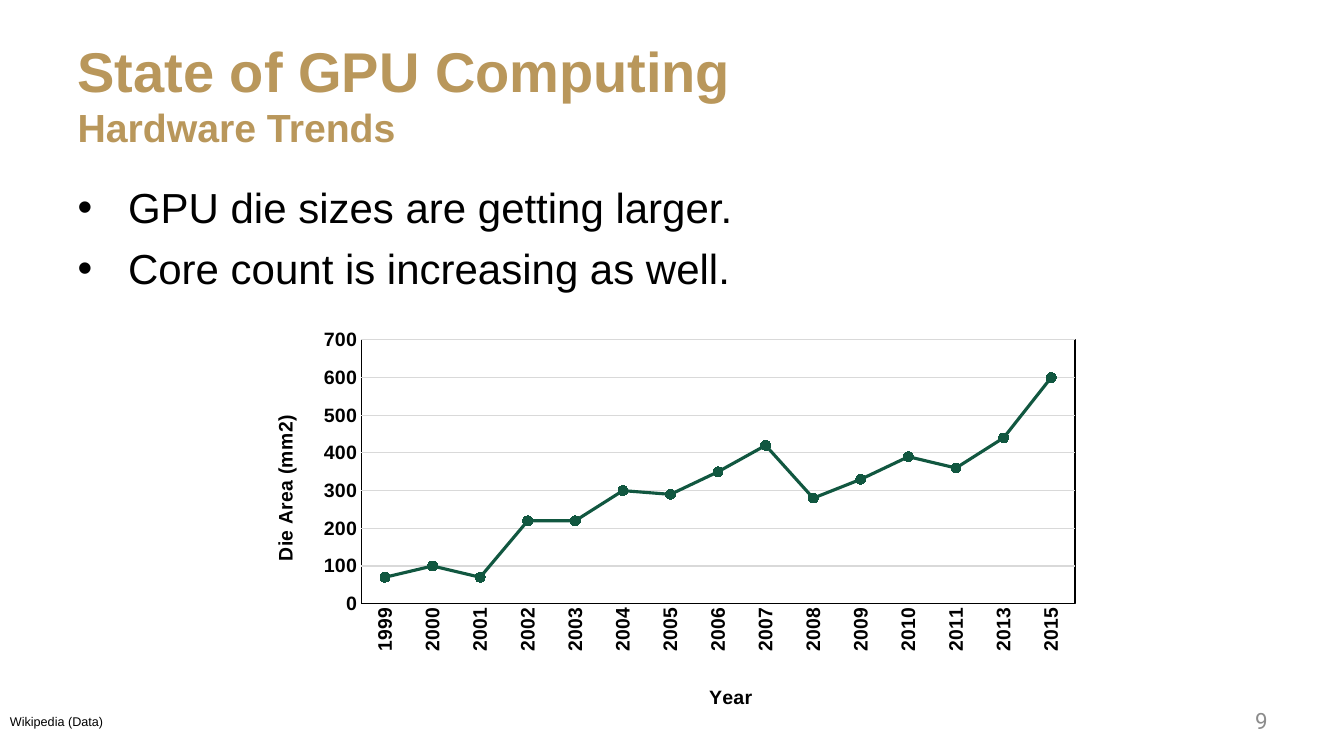
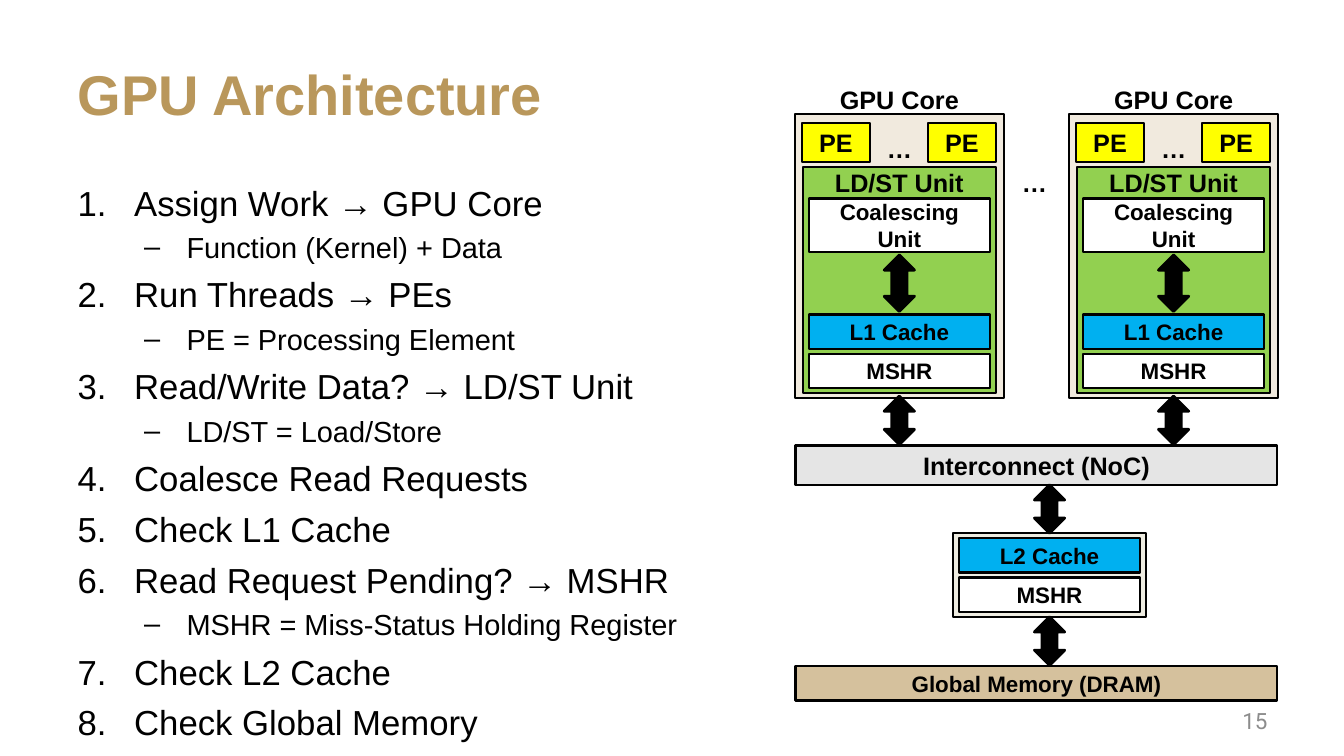
from lxml import etree
from pptx import Presentation
from pptx import util as u
from pptx.chart.data import CategoryChartData
from pptx.dml.color import RGBColor
from pptx.enum import chart as charts, shapes, text
from pptx.oxml.ns import qn

COLORS = {
    "gold": "B9975B", "black": "000000", "white": "FFFFFF", "gray": "8C8C8C",
    "grid": "D9D9D9", "pine": "115740", "green": "92D050", "blue": "00B0F0",
    "yellow": "FFFF00", "tan": "D5C19D", "cream": "EEECE1",
}
FONT = "Arial"
Inches, Pt = u.Inches, u.Pt
CENTER, RIGHT = text.PP_ALIGN.CENTER, text.PP_ALIGN.RIGHT

TRENDS = {
    "title": [("State of GPU Computing", 40), ("Hardware Trends", 28)],
    "number": "9",
    "body": (12, 1.54),
    "points": [(0, "GPU die sizes are getting larger."),
               (0, "Core count is increasing as well.")],
    "levels": [dict(size=30, before=7.5, left=0.5, hang=0.5, bullet=("a:buChar", "char", "•"))],
    "credit": "Wikipedia (Data)",
}
DIE_AREA = {
    "1999": 70, "2000": 100, "2001": 70, "2002": 220, "2003": 220,
    "2004": 300, "2005": 290, "2006": 350, "2007": 420, "2008": 280,
    "2009": 330, "2010": 390, "2011": 360, "2013": 440, "2015": 600,
}
ARCHITECTURE = {
    "title": [("GPU Architecture", 40)],
    "number": "15",
    "body": (6.94, 4.95),
    "points": [
        (0, "Assign Work → GPU Core"),
        (1, "Function (Kernel) + Data"),
        (0, "Run Threads → PEs"),
        (1, "PE = Processing Element"),
        (0, "Read/Write Data? → LD/ST Unit"),
        (1, "LD/ST = Load/Store"),
        (0, "Coalesce Read Requests"),
        (0, "Check L1 Cache"),
        (0, "Read Request Pending? → MSHR"),
        (1, "MSHR = Miss-Status Holding Register"),
        (0, "Check L2 Cache"),
        (0, "Check Global Memory"),
    ],
    "levels": [
        dict(size=24.8, before=6.5, left=0.56, hang=0.56,
             bullet=("a:buAutoNum", "type", "arabicPeriod")),
        dict(size=20.7, before=4.5, left=1.08, hang=0.42, bullet=("a:buChar", "char", "–")),
    ],
}

CORE_CENTERS = (8.92, 11.64)
MEMORY_CENTER, CHIP_CENTER = 10.41, 10.28
CHIP_WIDTH, CACHE_SIZE = 4.78, (1.8, 0.34)
CORE_BLOCKS = [
    ("", 0, 1.13, (2.07, 2.82), "gold", 16, 20),
    ("", 0, 1.66, (1.91, 2.24), "green", 16, 100),
    ("PE", -0.63, 1.22, (0.67, 0.39), "yellow", 18, 100),
    ("PE", 0.62, 1.22, (0.67, 0.39), "yellow", 18, 100),
    ("Coalescing Unit", 0, 1.97, (1.8, 0.53), "white", 16, 100),
    ("L1 Cache", 0, 3.12, CACHE_SIZE, "blue", 16, 100),
    ("MSHR", 0, 3.51, CACHE_SIZE, "white", 16, 100),
]
CORE_LABELS = [("GPU Core", 0.79), ("LD/ST Unit", 1.61), ("…", 1.27)]
CORE_ARROWS = [(2.53, 0.56), (3.93, 0.48)]
SHARED_BLOCKS = [
    ("Interconnect (NoC)", CHIP_CENTER, 4.42, (CHIP_WIDTH, 0.39), "black", 18, 10),
    ("Global Memory (DRAM)", CHIP_CENTER, 6.61, (CHIP_WIDTH, 0.34), "tan", 16, 100),
    ("", MEMORY_CENTER, 5.29, (1.91, 0.83), "cream", 16, 100),
    ("L2 Cache", MEMORY_CENTER, 5.34, CACHE_SIZE, "blue", 16, 100),
    ("MSHR", MEMORY_CENTER, 5.73, CACHE_SIZE, "white", 16, 100),
]
MEMORY_ARROWS = [(4.81, 0.48), (6.12, 0.48)]


def rgb(name):
    return RGBColor.from_string(COLORS[name])


def style(font, size, color="black", bold=False, face=FONT):
    font.name, font.size, font.bold = face, Pt(size), bold
    font.color.rgb = rgb(color)


def place(part, left, top, width, height):
    part.left, part.top = Inches(left), Inches(top)
    part.width, part.height = Inches(width), Inches(height)


def add_run(paragraph, words, size, **look):
    run = paragraph.add_run()
    run.text = words
    style(run.font, size, **look)


def add_text(slide, words, box, size, align=None, margin=0.1, **look):
    frame = slide.shapes.add_textbox(*map(Inches, box)).text_frame
    frame.word_wrap = True
    frame.margin_left = frame.margin_right = Inches(margin)
    frame.paragraphs[0].alignment = align
    add_run(frame.paragraphs[0], words, size, **look)
    return frame


def style_layout(prs):
    layout = prs.slide_layouts[1]
    place(layout.placeholders[0], 0.67, 0.3, 12, 1.25)
    level = prs.slide_master.element.find(".//" + qn("p:titleStyle")).find(qn("a:lvl1pPr"))
    level.set("algn", "l")
    defaults = level.find(qn("a:defRPr"))
    defaults.set("sz", "4000")
    defaults.set("b", "1")
    defaults.find(qn("a:latin")).set("typeface", FONT)
    return layout


def add_slide(prs, layout, content):
    slide = prs.slides.add_slide(layout)
    heading = slide.shapes.title.text_frame
    heading.vertical_anchor = text.MSO_ANCHOR.MIDDLE
    heading.auto_size = text.MSO_AUTO_SIZE.NONE
    for index, (words, size) in enumerate(content["title"]):
        if index:
            heading.paragraphs[0].add_line_break()
        add_run(heading.paragraphs[0], words, size, color="gold", bold=True)

    body = slide.placeholders[1]
    place(body, 0.67, 1.75, *content["body"])
    frame = body.text_frame
    frame.auto_size = text.MSO_AUTO_SIZE.NONE
    for index, (depth, words) in enumerate(content["points"]):
        paragraph = frame.add_paragraph() if index else frame.paragraphs[0]
        level = content["levels"][depth]
        paragraph.level = depth
        paragraph.space_before = Pt(level["before"] if index else 0)
        props = paragraph._p.get_or_add_pPr()
        props.set("marL", str(Inches(level["left"])))
        props.set("indent", str(-Inches(level["hang"])))
        tag, attribute, value = level["bullet"]
        etree.SubElement(props, qn(tag)).set(attribute, value)
        add_run(paragraph, words, level["size"])

    number = add_text(slide, content["number"], (9.56, 6.95, 3.11, 0.4), 16, RIGHT,
                      color="gray", face="Roboto")
    number.vertical_anchor = text.MSO_ANCHOR.MIDDLE
    return slide


def set_layout(parent, index, **fractions):
    for old in parent.findall(qn("c:layout")):
        parent.remove(old)
    layout = etree.Element(qn("c:layout"))
    manual = etree.SubElement(layout, qn("c:manualLayout"))
    if "w" in fractions:
        etree.SubElement(manual, qn("c:layoutTarget")).set("val", "inner")
    for mode in ("xMode", "yMode"):
        etree.SubElement(manual, qn("c:" + mode)).set("val", "edge")
    for key, value in fractions.items():
        etree.SubElement(manual, qn("c:" + key)).set("val", str(value))
    parent.insert(index, layout)


def style_axis(axis, title, x, y):
    axis.major_tick_mark = axis.minor_tick_mark = charts.XL_TICK_MARK.NONE
    style(axis.tick_labels.font, 14, bold=True)
    add_run(axis.axis_title.text_frame.paragraphs[0], title, 14, bold=True)
    set_layout(axis.axis_title._element, 1, x=x, y=y)


def turn_up(body):
    body.set("rot", "-5400000")
    body.set("vert", "horz")


def add_die_area_chart(slide):
    data = CategoryChartData(number_format="0")
    data.categories = list(DIE_AREA)
    data.add_series("Series 1", list(DIE_AREA.values()))
    chart = slide.shapes.add_chart(
        charts.XL_CHART_TYPE.LINE_MARKERS,
        *map(Inches, (2.5, 3.18, 8.33, 3.91)), data).chart
    chart.has_legend = chart.has_title = False
    style(chart.font, 14, bold=True)
    chart.plots[0].vary_by_categories = False

    years, area = chart.category_axis, chart.value_axis
    style_axis(years, "Year", 0.54, 0.93)
    style_axis(area, "Die Area (mm2)", 0.02, 0.24)
    turn_up(years._element.find(qn("c:txPr")).find(qn("a:bodyPr")))
    turn_up(area.axis_title.text_frame._txBody.find(qn("a:bodyPr")))
    years.format.line.color.rgb = rgb("black")
    years.format.line.width = Pt(0.75)
    area.format.line.fill.background()
    area.minimum_scale, area.maximum_scale, area.major_unit = 0, 700, 100
    area.tick_labels.number_format = "0"
    area.tick_labels.number_format_is_linked = False
    area.major_gridlines.format.line.color.rgb = rgb("grid")
    area.major_gridlines.format.line.width = Pt(0.75)

    series = chart.plots[0].series[0]
    series.smooth = False
    series.format.line.color.rgb = rgb("pine")
    series.format.line.width = Pt(2.25)
    series.marker.style, series.marker.size = charts.XL_MARKER_STYLE.CIRCLE, 7
    series.marker.format.fill.solid()
    series.marker.format.fill.fore_color.rgb = rgb("pine")
    series.marker.format.line.color.rgb = rgb("pine")

    plot_area = chart._chartSpace.find(".//" + qn("c:plotArea"))
    set_layout(plot_area, 0, x=0.13, y=0.05, w=0.85, h=0.68)
    border = etree.SubElement(etree.SubElement(plot_area, qn("c:spPr")), qn("a:ln"), w=str(Pt(0.75)))
    fill = etree.SubElement(border, qn("a:solidFill"))
    etree.SubElement(fill, qn("a:srgbClr")).set("val", COLORS["black"])


def add_solid(slide, kind, center, top, size, fill, line_width):
    width, height = size
    solid = slide.shapes.add_shape(
        kind, *map(Inches, (center - width / 2, top, width, height)))
    solid.shadow.inherit = False
    solid.fill.solid()
    solid.fill.fore_color.rgb = rgb(fill)
    solid.line.color.rgb = rgb("black")
    solid.line.width = Pt(line_width)
    return solid


def add_block(slide, words, center, top, size, fill, points, opacity):
    block = add_solid(slide, shapes.MSO_SHAPE.RECTANGLE, center, top, size, fill, 1.5)
    if opacity < 100:
        color = block._element.spPr.find(qn("a:solidFill")).find(qn("a:srgbClr"))
        etree.SubElement(color, qn("a:alpha")).set("val", str(opacity * 1000))
    if words:
        frame = block.text_frame
        frame.margin_top = frame.margin_bottom = 0
        frame.vertical_anchor = text.MSO_ANCHOR.MIDDLE
        frame.paragraphs[0].alignment = CENTER
        add_run(frame.paragraphs[0], words, points, bold=True)


def add_arrow(slide, center, top, height):
    add_solid(slide, shapes.MSO_SHAPE.UP_DOWN_ARROW, center, top, (0.3, height), "black", 2)


def add_label(slide, words, center, top):
    add_text(slide, words, (center - 0.75, top, 1.5, 0.4), 18, CENTER, margin=0, bold=True)


def add_diagram(slide):
    for core in CORE_CENTERS:
        for words, offset, *rest in CORE_BLOCKS:
            add_block(slide, words, core + offset, *rest)
        for words, top in CORE_LABELS:
            add_label(slide, words, core, top)
    add_label(slide, "…", 10.26, 1.61)
    for block in SHARED_BLOCKS:
        add_block(slide, *block)
    arrows = [(core, *arrow) for core in CORE_CENTERS for arrow in CORE_ARROWS]
    arrows += [(MEMORY_CENTER, *arrow) for arrow in MEMORY_ARROWS]
    for arrow in arrows:
        add_arrow(slide, *arrow)


def main():
    prs = Presentation()
    prs.slide_width, prs.slide_height = Inches(13.33), Inches(7.5)
    layout = style_layout(prs)
    trends = add_slide(prs, layout, TRENDS)
    add_die_area_chart(trends)
    add_text(trends, TRENDS["credit"], (0, 7.03, 8.49, 0.25), 9)
    add_diagram(add_slide(prs, layout, ARCHITECTURE))
    prs.save("out.pptx")


if __name__ == "__main__":
    main()
